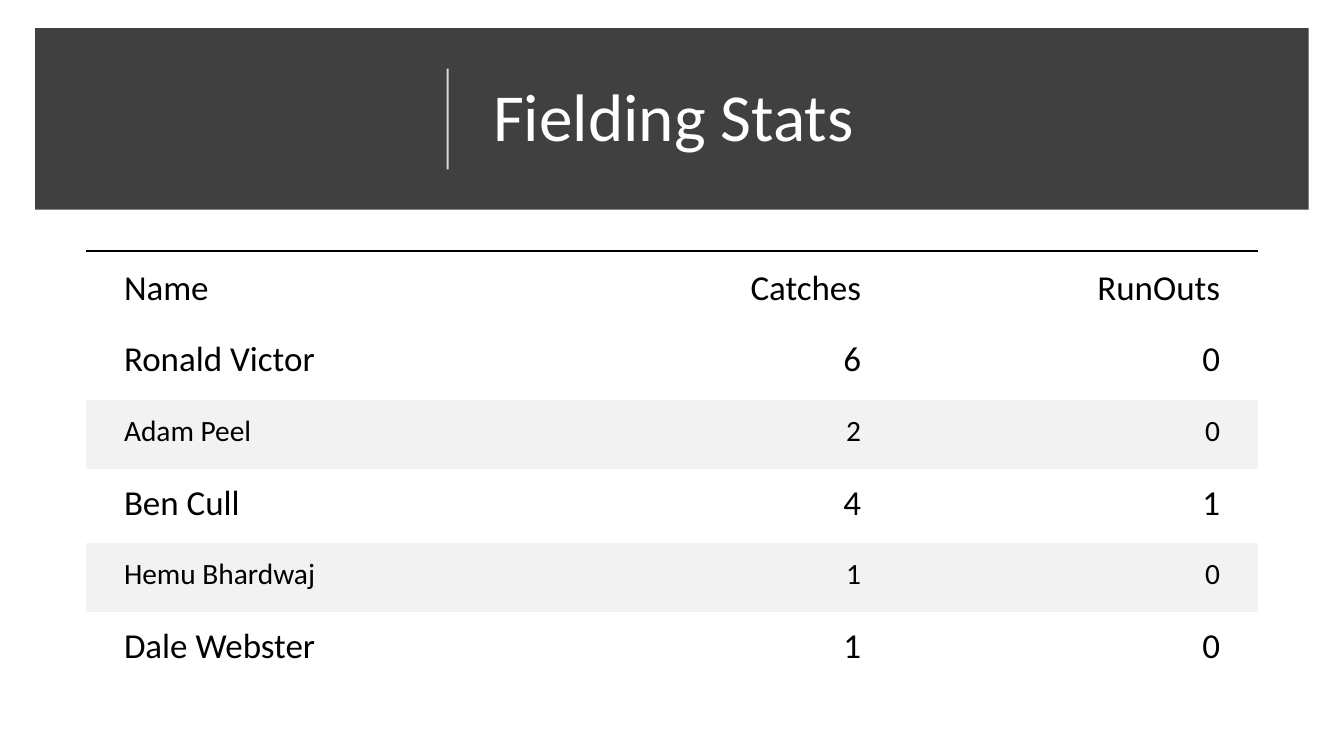
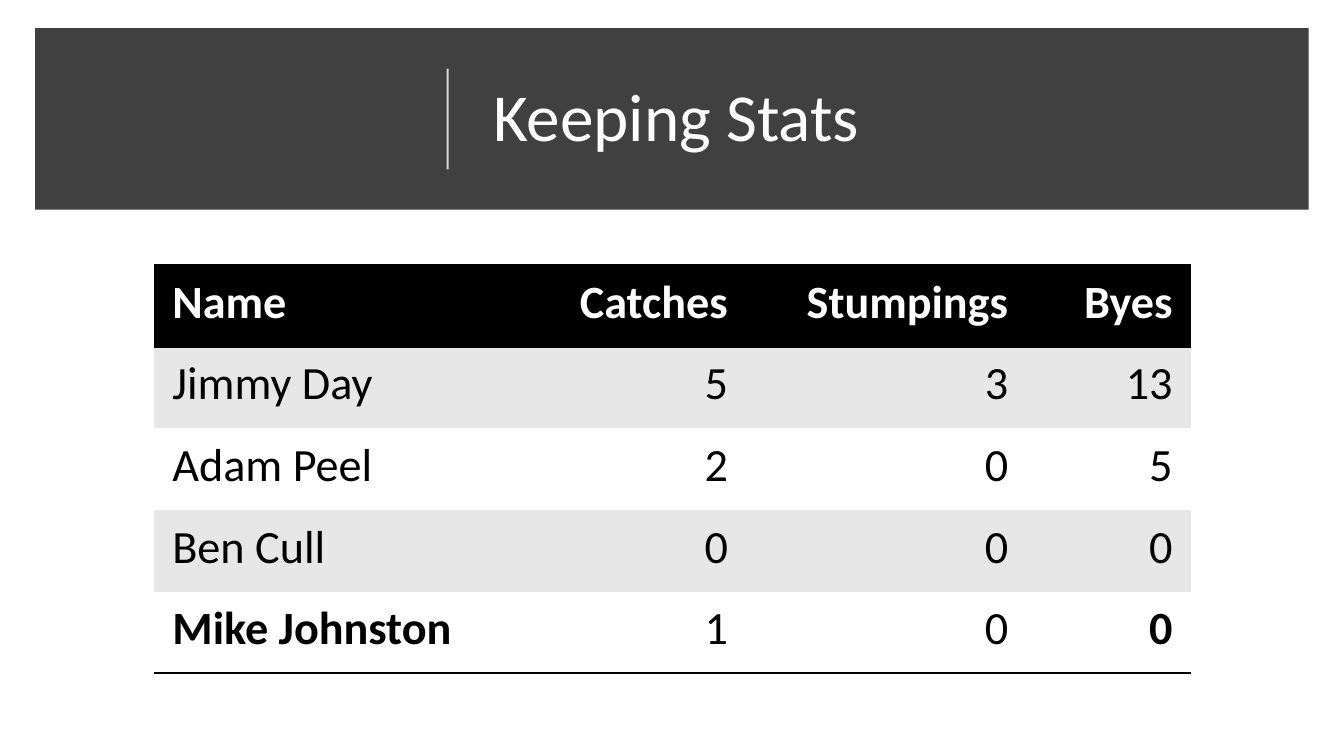
"""Build two slides of cricket fielding and keeping statistics."""
from dataclasses import dataclass
from lxml.etree import SubElement as Sub
from pptx import Presentation
from pptx.dml.color import RGBColor as RGB
from pptx.enum.shapes import MSO_CONNECTOR as Link, MSO_SHAPE as Form
from pptx.enum.text import MSO_ANCHOR as Anchor, MSO_AUTO_SIZE as Fit, PP_ALIGN as Align
from pptx.oxml.ns import qn
from pptx.util import Inches, Pt


@dataclass(frozen=True)
class Theme:
    font: str = "Calibri"
    white: str = "FFFFFF"
    black: str = "000000"
    band: str = "404040"
    pale: str = "F2F2F2"
    grey: str = "E7E7E7"
    title: int = 48
    large: int = 25
    small: int = 21
    huge: int = 33
    plain: str = "{2D5ABB26-0587-4C30-8999-92F81FD0307C}"


LOOK = Theme()

FIELD = [
    ("Name", "Catches", "RunOuts"),
    ("Ronald Victor", "6", "0"),
    ("Adam Peel", "2", "0"),
    ("Ben Cull", "4", "1"),
    ("Hemu Bhardwaj", "1", "0"),
    ("Dale Webster", "1", "0"),
]
KEEP = [
    ("Name", "Catches", "Stumpings", "Byes"),
    ("Jimmy Day", "5", "3", "13"),
    ("Adam Peel", "2", "0", "5"),
    ("Ben Cull", "0", "0", "0"),
    ("Mike Johnston", "1", "0", "0"),
]


def style(para, size, color, bold=False):
    for run in para.runs:
        font = run.font
        font.name, font.size, font.bold = LOOK.font, Pt(size), bold
        font.color.rgb = RGB.from_string(color)


def add_band(slide):
    band = slide.shapes.add_shape(
        Form.RECTANGLE, Inches(0.35), Inches(0.28), Inches(12.63), Inches(1.8))
    band.shadow.inherit = False
    band.fill.solid()
    band.fill.fore_color.rgb = RGB.from_string(LOOK.band)
    band.line.fill.background()
    slide.shapes.title.element.addprevious(band.element)


def add_title(slide, text):
    title = slide.shapes.title
    title.left, title.top = Inches(4.79), Inches(0.5)
    title.width, title.height = Inches(7.63), Inches(1.38)
    frame = title.text_frame
    frame.text = text
    frame.word_wrap, frame.auto_size = True, Fit.NONE
    frame.vertical_anchor = Anchor.MIDDLE
    para = frame.paragraphs[0]
    para.alignment, para.line_spacing = Align.LEFT, 0.9
    style(para, LOOK.title, LOOK.white)


def add_rule(slide):
    x = Inches(4.44)
    rule = slide.shapes.add_connector(Link.STRAIGHT, x, Inches(1.68), x, Inches(0.68))
    rule.line.width = Pt(1.5)
    rule.line.color.rgb = RGB.from_string(LOOK.white)
    tint = next(rule.element.iter(qn("a:srgbClr")))
    Sub(tint, qn("a:alpha"), val="80000")
    Sub(rule.element.spPr, qn("a:effectLst"))


def add_slide(deck, text):
    slide = deck.slides.add_slide(deck.slide_layouts[5])
    add_band(slide)
    add_title(slide, text)
    add_rule(slide)
    return slide


def add_table(slide, data, left, top, cols, rows):
    frame = slide.shapes.add_table(
        len(rows), len(cols), Inches(left), Inches(top),
        Inches(sum(cols)), Inches(sum(rows)))
    next(frame.element.iter(qn("a:tableStyleId"))).text = LOOK.plain
    table = frame.table
    table.first_row = table.horz_banding = False
    for col, width in zip(table.columns, cols):
        col.width = Inches(width)
    for row, height, texts in zip(table.rows, rows, data):
        row.height = Inches(height)
        for cell, text in zip(row.cells, texts):
            cell.text_frame.text = text
    return table


def set_edge(cell, side, width):
    props = cell.fill and next(cell.text_frame._txBody.getparent().iter(qn("a:tcPr")))
    edge = Sub(props, qn(f"a:ln{side}"), w=str(Pt(width)))
    Sub(Sub(edge, qn("a:solidFill")), qn("a:srgbClr"), val=LOOK.black)


def set_cell(cell, num, pad, fill, size, color, bold=False, edges="", width=2):
    cell.margin_left = cell.margin_right = Inches(pad[0])
    cell.margin_top = cell.margin_bottom = Inches(pad[1])
    for side in edges:
        set_edge(cell, side, width)
    if fill:
        cell.fill.solid()
        cell.fill.fore_color.rgb = RGB.from_string(fill)
    else:
        cell.fill.background()
    para = cell.text_frame.paragraphs[0]
    para.alignment = Align.RIGHT if num else Align.LEFT
    style(para, size, color, bold)


def add_field(slide):
    rows = [0.74, 0.74, 0.68, 0.74, 0.68, 0.74]
    table = add_table(slide, FIELD, 0.85, 2.49, [4.7, 3.37, 3.56], rows)
    for r, row in enumerate(table.rows):
        shade = r > 0 and r % 2 == 0
        for c, cell in enumerate(row.cells):
            cell.vertical_anchor = Anchor.TOP if r else Anchor.MIDDLE
            set_cell(cell, c, (0.38, 0.13), LOOK.pale if shade else None,
                     LOOK.small if shade else LOOK.large, LOOK.black,
                     edges="" if r else "T", width=2.25)


def add_keep(slide):
    table = add_table(slide, KEEP, 1.53, 2.63, [3.57, 2.3, 2.78, 1.63], [0.81] * 5)
    last = len(KEEP) - 1
    for r, row in enumerate(table.rows):
        head, foot = r == 0, r == last
        fill = LOOK.black if head else LOOK.grey if r % 2 else LOOK.white
        for c, cell in enumerate(row.cells):
            set_cell(cell, c, (0.18, 0.09), fill, LOOK.huge,
                     LOOK.white if head else LOOK.black,
                     bold=head or foot and c in (0, 3),
                     edges="TB" if head else "B" if foot else "")


def main():
    deck = Presentation()
    deck.slide_width, deck.slide_height = Inches(13.33), Inches(7.5)
    add_field(add_slide(deck, "Fielding Stats"))
    add_keep(add_slide(deck, "Keeping Stats"))
    deck.save("out.pptx")


if __name__ == "__main__":
    main()
